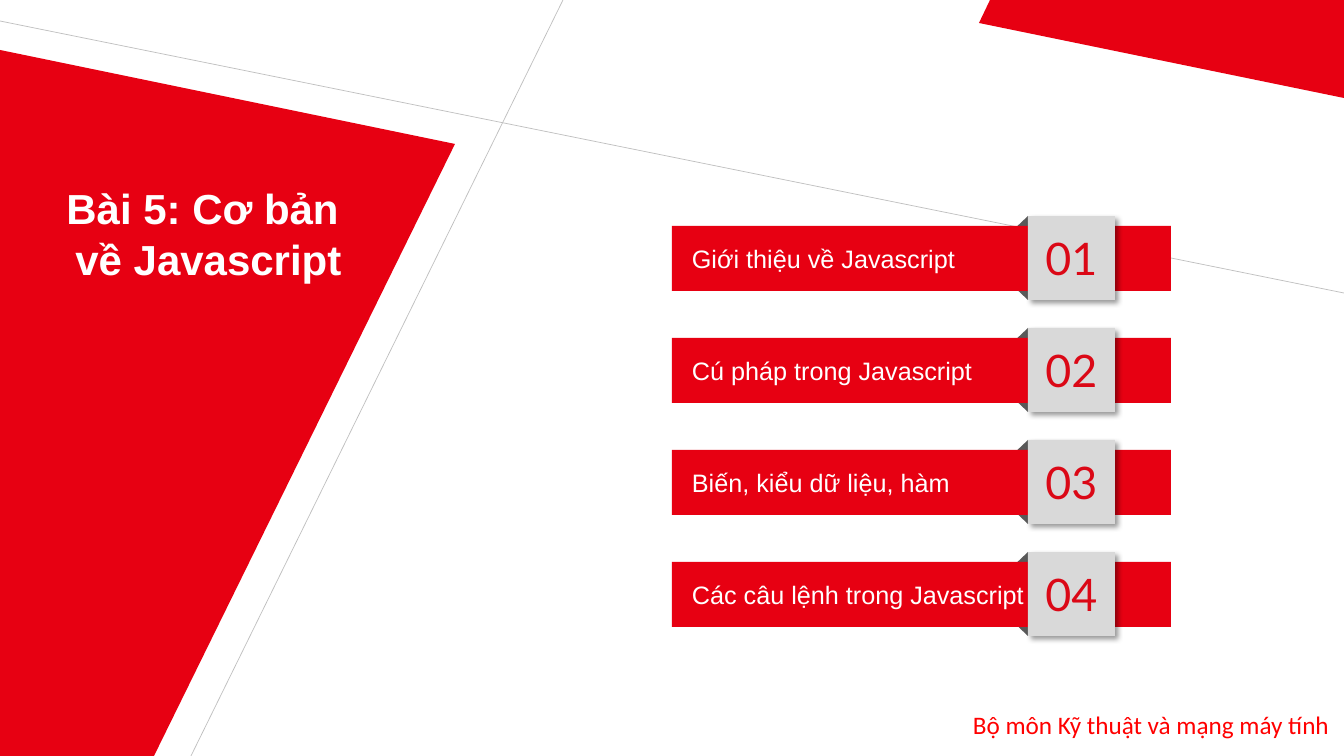
from lxml import etree
from pptx import Presentation, util as u
from pptx.dml.color import RGBColor
from pptx.enum import shapes, text
from pptx.oxml.ns import qn

PX = 12192000 / 1344
COLORS = {
    "red": "E70012", "number": "DB0816", "footer": "FF0000", "white": "FFFFFF",
    "tile": "D9D9D9", "fold": "595959", "rule": "BFBFBF", "shadow": "000000",
}


def paint(shape, color):
    shape.shadow.inherit = False
    shape.fill.solid()
    shape.fill.fore_color.rgb = RGBColor.from_string(COLORS[color])
    shape.line.fill.background()


def write(shape, lines, font, size, color, align, bold=False):
    shape.text_frame.text = "\n".join(lines)
    for paragraph in shape.text_frame.paragraphs:
        paragraph.alignment = align
        paragraph.font.name = font
        paragraph.font.size = u.Pt(size)
        paragraph.font.bold = bold
        paragraph.font.color.rgb = RGBColor.from_string(COLORS[color])


presentation = Presentation()
presentation.slide_width = u.Emu(int(1344 * PX))
presentation.slide_height = u.Emu(int(756 * PX))
slide = presentation.slides.add_slide(presentation.slide_layouts[6])

wedges = [
    [(0, 50), (455, 144), (154, 756), (0, 756)],
    [(990, 0), (1344, 0), (1344, 98), (979, 23)],
]
for points in wedges:
    builder = slide.shapes.build_freeform(*points[0], scale=PX)
    builder.add_line_segments(points[1:], close=True)
    paint(builder.convert_to_shape(), "red")

for ends in [(191, 756, 563, 0), (0, 21, 1344, 293)]:
    rule = slide.shapes.add_connector(
        shapes.MSO_CONNECTOR.STRAIGHT, *[int(value * PX) for value in ends])
    rule.line.color.rgb = RGBColor.from_string(COLORS["rule"])
    rule.line.width = u.Pt(0.5)
    etree.SubElement(rule._element.spPr, qn("a:effectLst"))

footer = slide.shapes.add_textbox(*[int(value * PX) for value in (963, 704, 381, 40)])
footer.text_frame.word_wrap = False
write(footer, ["Bộ môn Kỹ thuật và mạng máy tính"], "Calibri", 18, "footer",
      text.PP_ALIGN.LEFT)

title = slide.shapes.add_textbox(*[int(value * PX) for value in (25, 178, 367, 112)])
title.text_frame.word_wrap = True
write(title, ["Bài 5: Cơ bản ", "về Javascript"], "Arial", 30, "white",
      text.PP_ALIGN.CENTER, bold=True)

topics = [
    "Giới thiệu về Javascript",
    "Cú pháp trong Javascript",
    "Biến, kiểu dữ liệu, hàm",
    "Các câu lệnh trong Javascript",
]
for index, topic in enumerate(topics):
    top = 216 + 112 * index

    for offset, apex, rotation in [(66, 0, 180), (0, 1, 0)]:
        fold = slide.shapes.add_shape(
            shapes.MSO_SHAPE.ISOSCELES_TRIANGLE,
            *[int(value * PX) for value in (1009, top + offset, 19, 18)])
        fold.adjustments[0] = apex
        fold.rotation = rotation
        paint(fold, "fold")

    bar = slide.shapes.add_shape(
        shapes.MSO_SHAPE.RECTANGLE,
        *[int(value * PX) for value in (672, top + 10, 499, 65)])
    paint(bar, "red")
    bar.text_frame.margin_left = int(20 * PX)
    bar.text_frame.vertical_anchor = text.MSO_ANCHOR.MIDDLE
    write(bar, [topic], "Arial", 18, "white", text.PP_ALIGN.LEFT)

    tile = slide.shapes.add_shape(
        shapes.MSO_SHAPE.RECTANGLE,
        *[int(value * PX) for value in (1028, top, 87, 84)])
    paint(tile, "tile")
    frame = tile.text_frame
    frame.margin_left = frame.margin_right = frame.margin_top = frame.margin_bottom = 0
    frame.vertical_anchor = text.MSO_ANCHOR.MIDDLE
    write(tile, [f"{index + 1:02}"], "Lato", 32, "number", text.PP_ALIGN.CENTER)
    effects = tile._element.spPr.find(qn("a:effectLst"))
    shadow = etree.SubElement(
        effects, qn("a:outerShdw"), blurRad=str(u.Pt(4)), dist=str(u.Pt(3)),
        dir="2700000", algn="tl", rotWithShape="0")
    shade = etree.SubElement(shadow, qn("a:srgbClr"), val=COLORS["shadow"])
    etree.SubElement(shade, qn("a:alpha"), val="40000")

presentation.save("out.pptx")
